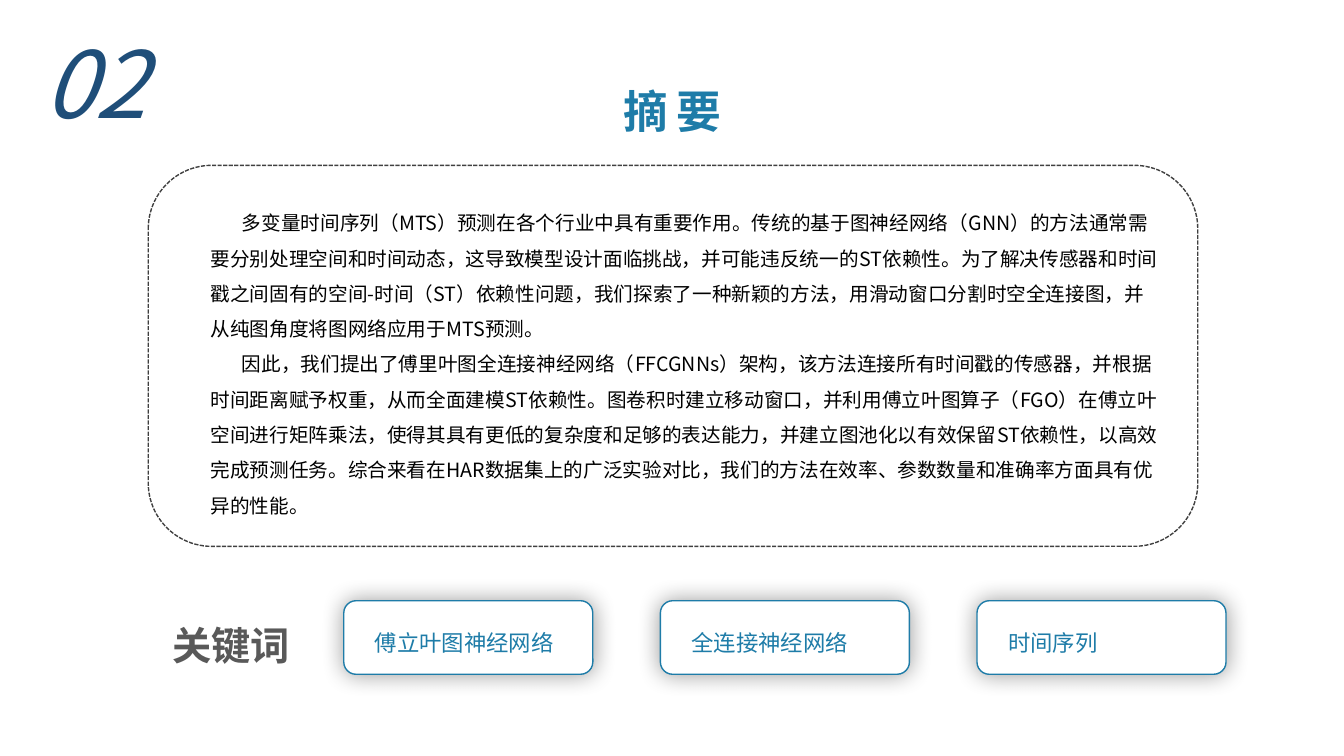
from pptx import Presentation
from pptx.dml.color import RGBColor
from pptx.enum.dml import MSO_LINE
from pptx.enum.shapes import MSO_SHAPE
from pptx.enum.text import MSO_ANCHOR, PP_ALIGN
from pptx.oxml.ns import qn
from pptx.util import Pt
from lxml.etree import SubElement

PX = 9144
FONT = "Noto Sans CJK SC"
WHITE = RGBColor(0xFF, 0xFF, 0xFF)
BLACK = RGBColor(0, 0, 0)
BLUE = RGBColor(0x1E, 0x7C, 0xA8)
NAVY = RGBColor(0x1F, 0x4E, 0x79)
GRAY = RGBColor(0x59, 0x59, 0x59)
DARK = RGBColor(0x40, 0x40, 0x40)

TITLE = {"size": Pt(32), "bold": True}
LABEL = {"size": Pt(28), "bold": True}
NUMBER = {"size": Pt(66), "italic": True}
BODY = {"size": Pt(14)}
WORD = {"size": Pt(16)}

INTRO = "多变量时间序列（MTS）预测在各个行业中具有重要作用。传统的基于图神经网络（GNN）的方法通常需要分别处理空间和时间动态，这导致模型设计面临挑战，并可能违反统一的ST依赖性。为了解决传感器和时间戳之间固有的空间-时间（ST）依赖性问题，我们探索了一种新颖的方法，用滑动窗口分割时空全连接图，并从纯图角度将图网络应用于MTS预测。"
METHOD = "因此，我们提出了傅里叶图全连接神经网络（FFCGNNs）架构，该方法连接所有时间戳的传感器，并根据时间距离赋予权重，从而全面建模ST依赖性。图卷积时建立移动窗口，并利用傅立叶图算子（FGO）在傅立叶空间进行矩阵乘法，使得其具有更低的复杂度和足够的表达能力，并建立图池化以有效保留ST依赖性，以高效完成预测任务。综合来看在HAR数据集上的广泛实验对比，我们的方法在效率、参数数量和准确率方面具有优异的性能。"
WORDS = ["傅立叶图神经网络", "全连接神经网络", "时间序列"]


def scale(box):
    return [n * PX for n in box]


def add_text(shapes, box, lines, style, color, align=PP_ALIGN.LEFT,
             space=1.0, indent=0, track=0):
    area = shapes.add_textbox(*scale(box))
    frame = area.text_frame
    frame.word_wrap = True
    frame.vertical_anchor = MSO_ANCHOR.TOP
    for i, line in enumerate(lines):
        para = frame.paragraphs[0] if i == 0 else frame.add_paragraph()
        para.alignment = align
        para.line_spacing = space
        if indent:
            para._p.get_or_add_pPr().set("indent", str(indent * PX))
        run = para.add_run()
        run.text = line
        font = run.font
        font.color.rgb = color
        for key, value in {"name": FONT, **style}.items():
            setattr(font, key, value)
        props = run._r.get_or_add_rPr()
        SubElement(props, qn("a:ea"), typeface=FONT)
        if track:
            props.set("spc", str(track * 100))
    return area


def add_panel(shapes, box, color):
    panel = shapes.add_shape(MSO_SHAPE.ROUNDED_RECTANGLE, *scale(box))
    panel.shadow.inherit = False
    panel.fill.background()
    panel.line.color.rgb = color
    panel.line.width = Pt(1)
    return panel


def add_glow(panel):
    effects = panel._element.spPr.find(qn("a:effectLst"))
    shade = SubElement(effects, qn("a:outerShdw"), blurRad=str(Pt(17)),
                       dist="0", dir="0", algn="ctr", rotWithShape="0")
    tone = SubElement(shade, qn("a:srgbClr"), val=str(BLACK))
    SubElement(tone, qn("a:alpha"), val="40000")


def add_word(slide, left, word):
    shapes = slide.shapes.add_group_shape().shapes
    card = add_panel(shapes, (left, 596, 247, 73), BLUE)
    card.fill.solid()
    card.fill.fore_color.rgb = WHITE
    add_glow(card)
    area = add_text(shapes, (left + 21, 611, 212, 45), [word], WORD, BLUE,
                    space=Pt(25))
    area.line.color.rgb = WHITE
    area.line.width = Pt(0.75)


def main():
    deck = Presentation()
    deck.slide_width, deck.slide_height = scale((1333, 750))
    slide = deck.slides.add_slide(deck.slide_layouts[6])
    shapes = slide.shapes
    frame = add_panel(shapes, (147, 164, 1041, 378), DARK)
    frame.line.dash_style = MSO_LINE.SQUARE_DOT
    add_text(shapes, (528, 78, 278, 64), ["摘要"], TITLE, BLUE,
             PP_ALIGN.CENTER, track=6)
    add_text(shapes, (147, 611, 165, 57), ["关键词"], LABEL, GRAY,
             PP_ALIGN.CENTER)
    for i, word in enumerate(WORDS):
        add_word(slide, 341 + 314 * i, word)
    add_text(shapes, (33, 21, 218, 121), ["02"], NUMBER, NAVY)
    add_text(shapes, (199, 193, 961, 320), [INTRO, METHOD], BODY, BLACK,
             space=1.5, indent=31)
    deck.save("out.pptx")


if __name__ == "__main__":
    main()
